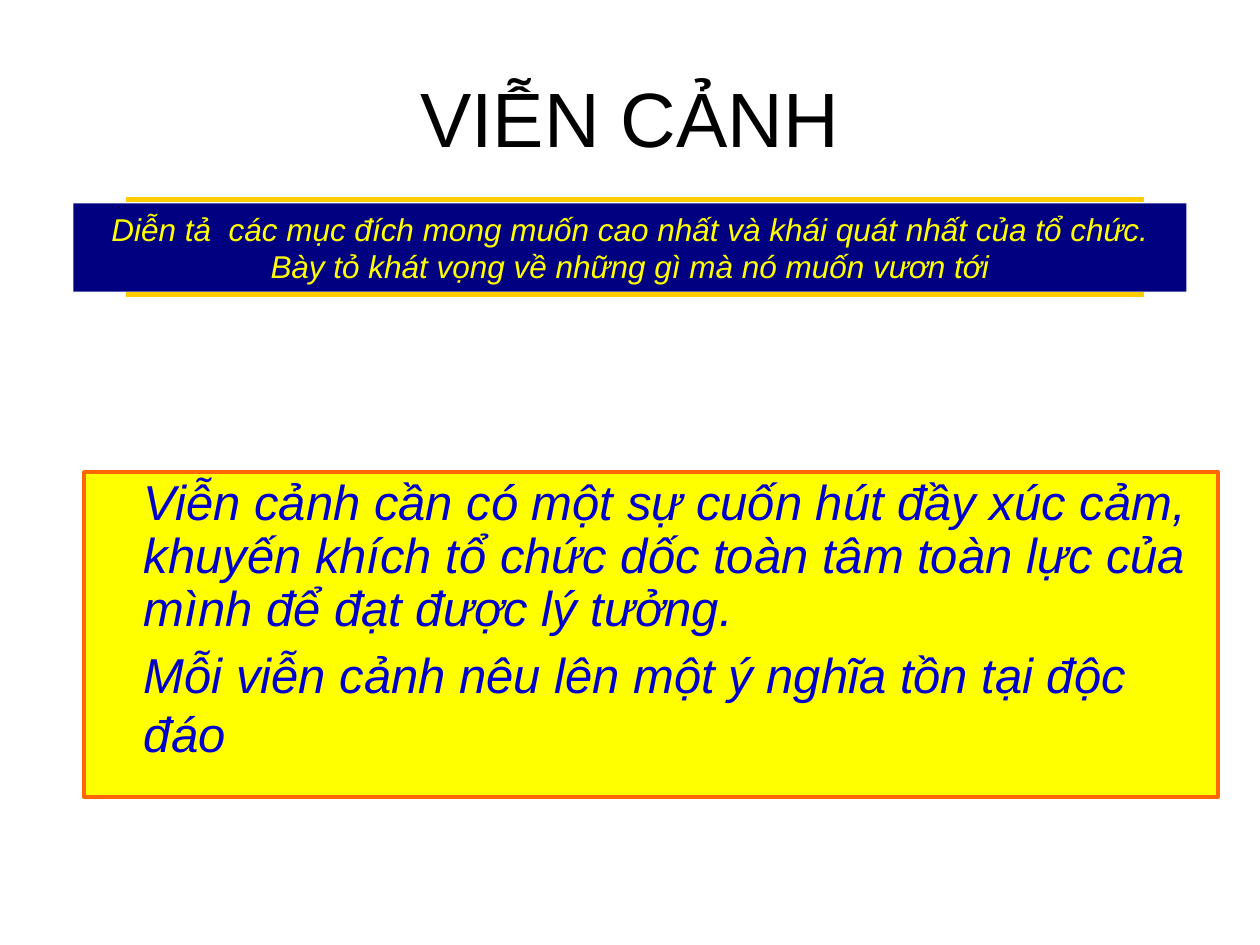
from lxml.etree import SubElement
from pptx import Presentation
from pptx.dml.color import RGBColor
from pptx.enum.shapes import MSO_CONNECTOR as Connector, MSO_SHAPE as Shape
from pptx.enum.text import MSO_ANCHOR as Anchor, PP_ALIGN as Align
from pptx.oxml.ns import qn
from pptx.util import Cm, Pt

TITLE = "VIỄN CẢNH"
DEFINITION = (
    "Diễn tả  các mục đích mong muốn cao nhất và khái quát nhất của tổ chức. "
    "Bày tỏ khát vọng về những gì mà nó muốn vươn tới"
)
APPEAL = (
    "Viễn cảnh cần có một sự cuốn hút đầy xúc cảm, khuyến khích tổ chức "
    "dốc toàn tâm toàn lực của mình để đạt được lý tưởng."
)
MEANING = "Mỗi viễn cảnh nêu lên một ý nghĩa tồn tại độc đáo"


def color(code):
    """Turn a hex string into a colour."""
    return RGBColor.from_string(code)


def apply(target, formats):
    """Set each named attribute of the target."""
    for name, value in formats.items():
        setattr(target, name, value)


def add_span(para, text, code, **formats):
    """Append a run in Arial to the paragraph."""
    span = para.add_run()
    span.text = text
    apply(span.font, {"name": "Arial", **formats})
    span.font.color.rgb = color(code)


def add_panel(page, box, fill, line=None):
    """Draw a filled rectangle, outlined when a line colour is given."""
    panel = page.shapes.add_shape(Shape.RECTANGLE, *map(Cm, box))
    panel.shadow.inherit = False
    panel.fill.solid()
    panel.fill.fore_color.rgb = color(fill)
    if line:
        panel.line.color.rgb = color(line)
        panel.line.width = Pt(2.25)
    else:
        panel.line.fill.background()
    return panel


def add_rule(page, left, top, width):
    """Draw a horizontal gold rule."""
    rule = page.shapes.add_connector(
        Connector.STRAIGHT, Cm(left), Cm(top), Cm(left + width), Cm(top)
    )
    rule.line.color.rgb = color("FFCC00")
    rule.line.width = Pt(3)
    SubElement(rule.element.spPr, qn("a:effectLst"))


def add_title(page, box):
    """Place the centred heading."""
    frame = page.shapes.add_textbox(*map(Cm, box)).text_frame
    apply(frame, {"word_wrap": True, "vertical_anchor": Anchor.MIDDLE})
    para = frame.paragraphs[0]
    para.alignment = Align.CENTER
    add_span(para, TITLE, "000000", size=Pt(44))


def add_vision(page, box):
    """Place the yellow panel with its two statements."""
    frame = add_panel(page, box, "FFFF00", "FF6600").text_frame
    apply(frame, {"word_wrap": True, "vertical_anchor": Anchor.TOP})
    for index, (text, gap) in enumerate([(APPEAL, 7), (MEANING, 8)]):
        para = frame.add_paragraph() if index else frame.paragraphs[0]
        apply(para, {"alignment": Align.LEFT, "line_spacing": 0.9,
                     "space_before": Pt(gap)})
        para._p.get_or_add_pPr().set("marL", str(Cm(0.95)))
        add_span(para, text, "0000CC", size=Pt(28), italic=True)
    add_span(para, " ", "0000CC", size=Pt(32))


def add_banner(page, box):
    """Place the navy definition between two gold rules."""
    left, top, width, height = box
    frame = add_panel(page, box, "000080").text_frame
    apply(frame, {"word_wrap": True, "vertical_anchor": Anchor.TOP})
    para = frame.paragraphs[0]
    para.alignment = Align.CENTER
    add_span(para, DEFINITION, "FFFF00", size=Pt(18), italic=True)
    for offset in (height + 0.05, -0.08):
        add_rule(page, left + 1.06, top + offset, 20.53)


def main():
    """Build the deck and save it."""
    deck = Presentation()
    apply(deck, {"slide_width": Cm(25.4), "slide_height": Cm(19.05)})
    page = deck.slides.add_slide(deck.slide_layouts[6])
    add_title(page, (1.27, 0.76, 22.86, 3.18))
    add_vision(page, (1.7, 9.52, 22.86, 6.55))
    add_banner(page, (1.48, 4.1, 22.44, 1.78))
    deck.save("out.pptx")


if __name__ == "__main__":
    main()
